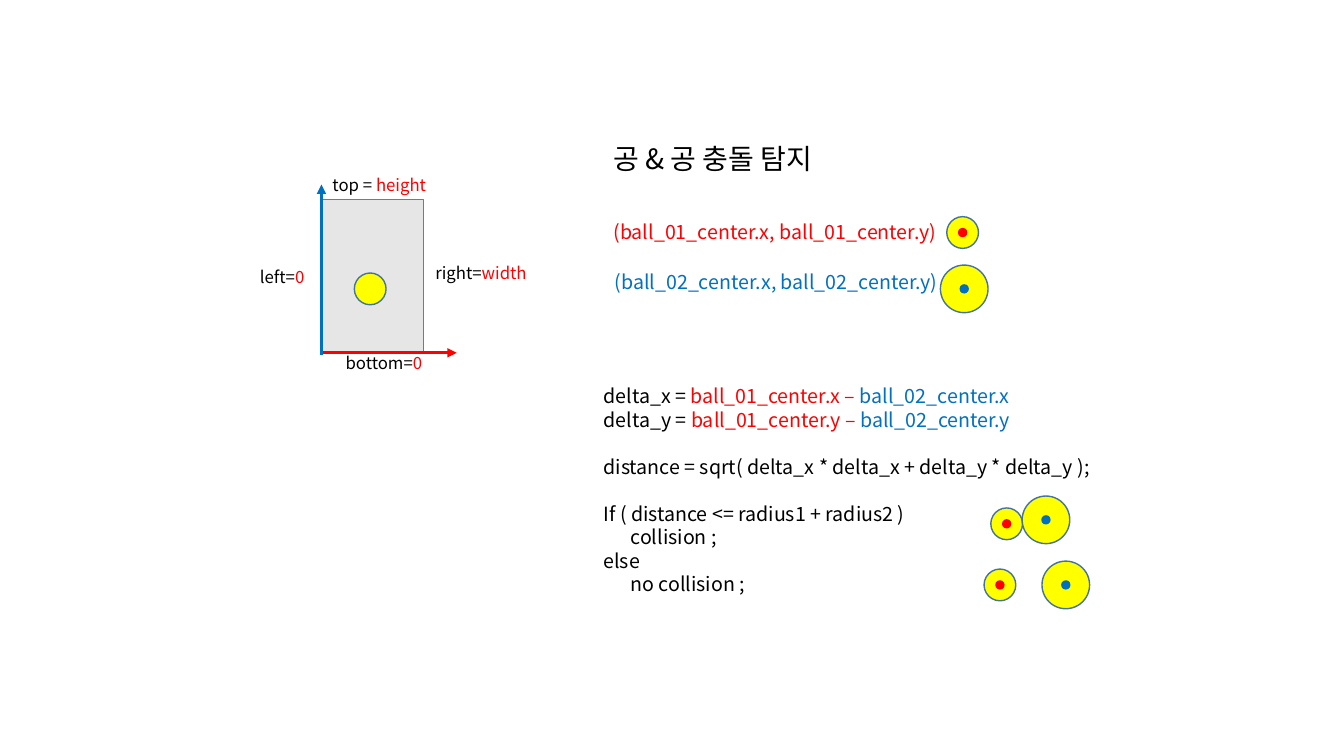
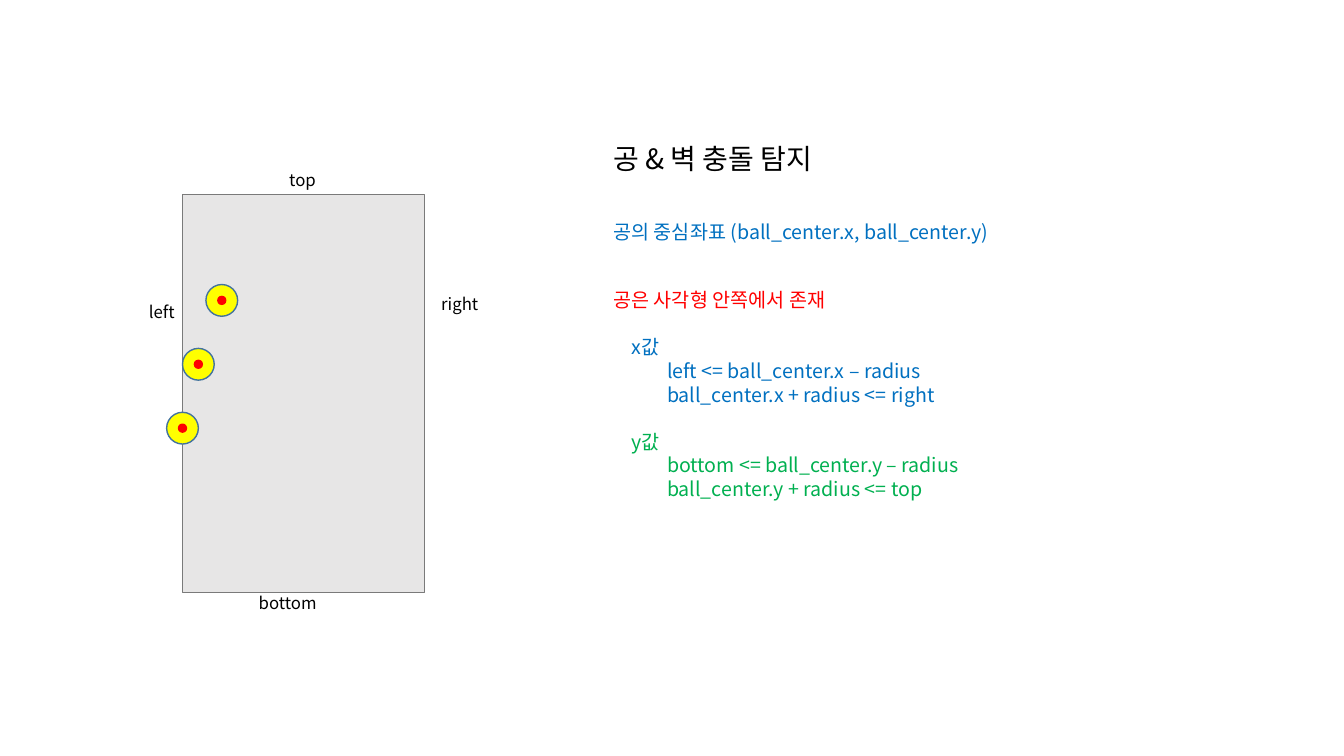
from dataclasses import dataclass

from pptx import Presentation
from pptx.dml.color import RGBColor
from pptx.enum.shapes import MSO_CONNECTOR, MSO_SHAPE
from pptx.oxml.ns import qn
from pptx.util import Cm, Pt
from lxml.etree import SubElement

FONT = "Noto Sans CJK KR"
BLACK, RED, BLUE, GREEN = "000000", "FF0000", "0070C0", "00B050"
YELLOW, BALL_EDGE = "FFFF00", "43739E"
WALL_FILL, WALL_EDGE = "E7E6E6", "7A7A7A"
LABEL_SIZE, BODY_SIZE, TITLE_SIZE = 12, 14, 20
LINE_RATIO = 1.2
SMALL, BIG, DOT = 0.8, 1.2, 0.2  # diameters in cm
COLUMN = 15.21  # left edge of the explanation


@dataclass
class Line:
    runs: list  # (words, colour) pairs
    indent: float = 0
    gap: bool = False  # one empty line's height above


def rgb(colour):
    return RGBColor.from_string(colour)


# Basic parts
def add_text(slide, left, top, width, lines, size=BODY_SIZE):
    pitch = size * LINE_RATIO
    height = Cm(0.25) + Pt(pitch * len(lines))
    frame = slide.shapes.add_textbox(Cm(left), Cm(top), Cm(width), height).text_frame
    frame.word_wrap = True
    for number, line in enumerate(lines):
        paragraph = frame.add_paragraph() if number else frame.paragraphs[0]
        paragraph.line_spacing = Pt(pitch)
        paragraph.space_before = Pt(pitch if line.gap else 0)
        if line.indent:
            paragraph._p.get_or_add_pPr().set("marL", str(Cm(line.indent)))
        for words, colour in line.runs:
            run = paragraph.add_run()
            run.text = words
            run.font.size = Pt(size)
            run.font.name = FONT
            run.font.color.rgb = rgb(colour)
            SubElement(run._r.get_or_add_rPr(), qn("a:ea")).set("typeface", FONT)


def add_outline(shapes, kind, box, fill, edge):
    shape = shapes.add_shape(kind, *(Cm(length) for length in box))
    shape.shadow.inherit = False
    shape.fill.solid()
    shape.fill.fore_color.rgb = rgb(fill)
    shape.line.color.rgb = rgb(edge)
    shape.line.width = Pt(1)


def add_disc(shapes, x, y, diameter, fill, edge):
    box = (x - diameter / 2, y - diameter / 2, diameter, diameter)
    add_outline(shapes, MSO_SHAPE.OVAL, box, fill, edge)


def add_ball(slide, x, y, diameter=SMALL, centre=RED):
    ball = slide.shapes.add_group_shape().shapes
    add_disc(ball, x, y, diameter, YELLOW, BALL_EDGE)
    add_disc(ball, x, y, DOT, centre, centre)


def add_axis(slide, start, end, colour):
    axis = slide.shapes.add_connector(
        MSO_CONNECTOR.STRAIGHT, *(Cm(length) for length in start + end))
    axis.line.color.rgb = rgb(colour)
    axis.line.width = Pt(2.25)
    SubElement(axis.line._get_or_add_ln(), qn("a:tailEnd")).set("type", "triangle")
    SubElement(axis._element.spPr, qn("a:effectLst"))


# Regions
def add_walls(slide, box, labels):
    left, top = box[:2]
    add_outline(slide.shapes, MSO_SHAPE.RECTANGLE, box, WALL_FILL, WALL_EDGE)
    for dx, dy, width, runs in labels:
        add_text(slide, left + dx, top + dy, width, [Line(runs)], LABEL_SIZE)


def add_axes(slide, box):
    left, top, width, height = box
    floor = top + height
    add_axis(slide, (left, floor), (left + width + 0.84, floor), RED)
    add_axis(slide, (left, floor + 0.05), (left, top - 0.38), BLUE)


def add_heading(slide, title, centre, colour, width):
    add_text(slide, COLUMN, 3.45, 6.86, [Line([(title, BLACK)])], TITLE_SIZE)
    add_text(slide, COLUMN, 5.41, width, [Line([(centre, colour)])])


def delta(axis):
    return Line([(f"delta_{axis} = ", BLACK), (f"ball_01_center.{axis} – ", RED),
                 (f"ball_02_center.{axis}", BLUE)])


def axis_rule(axis, low, high, colour):
    centre = f"ball_center.{axis}"
    return [Line([(f"{axis}값", colour)], 0.45, gap=True),
            Line([(f"{low} <= {centre} – radius", colour)], 1.35),
            Line([(f"{centre} + radius <= {high}", colour)], 1.35)]


# Slides
def ball_to_ball(slide):
    walls = left, top, width, height = (8.1, 5.03, 2.57, 3.86)
    add_walls(slide, walls, [
        (0.03, -0.76, 3.43, [("top = ", BLACK), ("height", RED)]),
        (0.36, height - 0.12, 2.74, [("bottom=", BLACK), ("0", RED)]),
        (-1.8, 1.57, 1.98, [("left=", BLACK), ("0", RED)]),
        (width + 0.05, 1.47, 3.5, [("right=", BLACK), ("width", RED)]),
    ])
    add_axes(slide, walls)
    add_disc(slide.shapes, left + 1.23, top + 2.25, SMALL, YELLOW, BALL_EDGE)

    add_heading(slide, "공 & 공 충돌 탐지",
                "(ball_01_center.x, ball_01_center.y)", RED, 9.1)
    add_text(slide, COLUMN + 0.03, 6.68, 9.1,
             [Line([("(ball_02_center.x, ball_02_center.y)", BLUE)])])

    # Named balls, touching balls, separate balls
    for first, second in (((24.26, 5.86), (24.3, 7.28)),
                          ((25.37, 13.2), (26.36, 13.1)),
                          ((25.2, 14.74), (26.86, 14.74))):
        add_ball(slide, *first)
        add_ball(slide, *second, BIG, BLUE)

    add_text(slide, 14.96, 9.55, 13.18, [
        delta("x"),
        delta("y"),
        Line([("distance = sqrt( delta_x * delta_x + delta_y * delta_y );", BLACK)],
             gap=True),
        Line([("If ( distance <= radius1 + radius2 )", BLACK)], gap=True),
        Line([("collision ;", BLACK)], 0.68),
        Line([("else", BLACK)]),
        Line([("no collision ;", BLACK)], 0.68),
    ])


def ball_to_wall(slide):
    walls = left, top, width, height = (4.6, 4.9, 6.1, 10.03)
    add_walls(slide, walls, [
        (2.44, -0.76, 1.4, [("top", BLACK)]),
        (1.67, height - 0.12, 2.74, [("bottom", BLACK)]),
        (-1.1, 2.57, 1.4, [("left", BLACK)]),
        (width + 0.17, 2.37, 1.7, [("right", BLACK)]),
    ])
    # Inside, touching and crossing the left wall
    for step, distance in enumerate((0.99, SMALL / 2, 0)):
        add_ball(slide, left + distance, top + 2.67 + 1.61 * step)

    add_heading(slide, "공 & 벽 충돌 탐지",
                "공의 중심좌표 (ball_center.x, ball_center.y)", BLUE, 11.56)
    add_text(slide, COLUMN, 7.14, 11.56, [
        Line([("공은 사각형 안쪽에서 존재", RED)]),
        *axis_rule("x", "left", "right", BLUE),
        *axis_rule("y", "bottom", "top", GREEN),
    ])


def main():
    deck = Presentation()
    deck.slide_width, deck.slide_height = Cm(33.87), Cm(19.05)
    for build in (ball_to_ball, ball_to_wall):
        build(deck.slides.add_slide(deck.slide_layouts[6]))
    deck.save("out.pptx")


if __name__ == "__main__":
    main()
